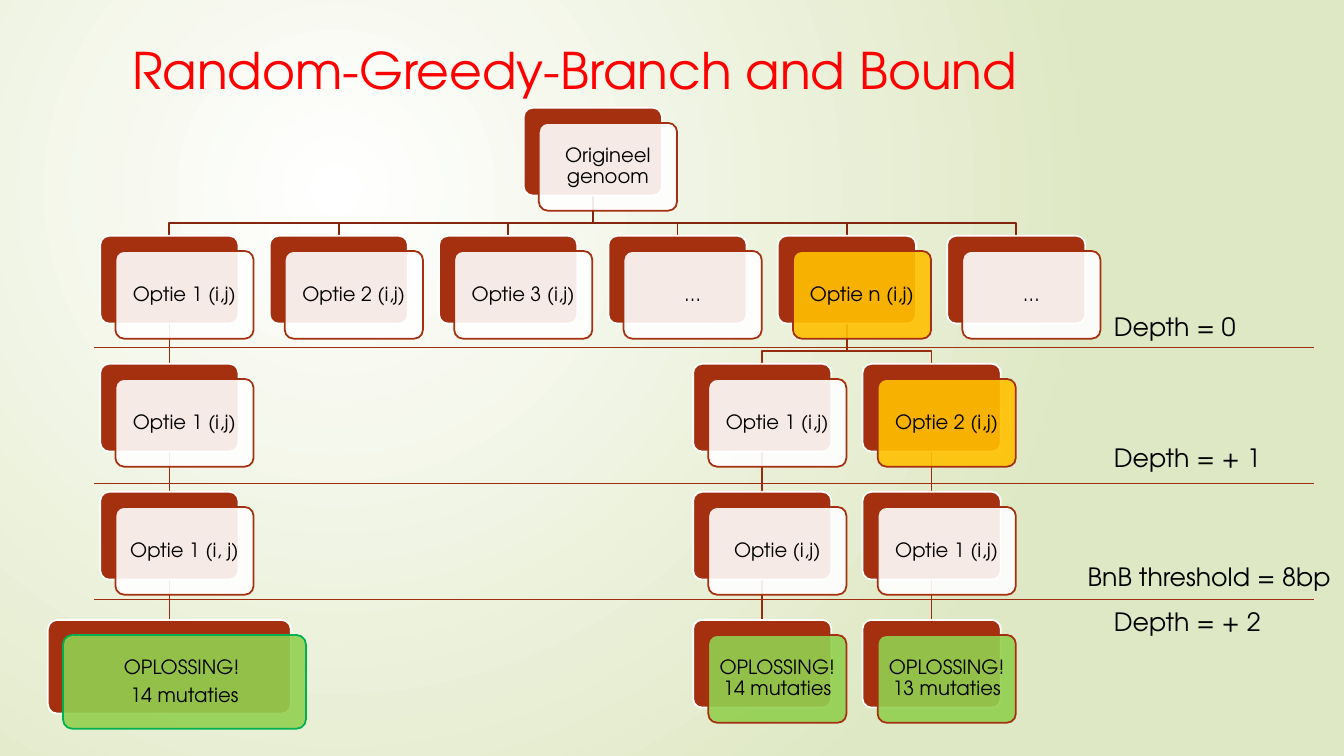
from dataclasses import dataclass

from lxml import etree
from pptx import Presentation
from pptx.dml.color import RGBColor
from pptx.enum.shapes import MSO_CONNECTOR, MSO_SHAPE
from pptx.enum.text import MSO_ANCHOR, PP_ALIGN
from pptx.oxml.ns import qn
from pptx.util import Inches, Pt

LINE = MSO_CONNECTOR.STRAIGHT
ROUND = MSO_SHAPE.ROUNDED_RECTANGLE
TOP, MIDDLE = MSO_ANCHOR.TOP, MSO_ANCHOR.MIDDLE
LEFT, CENTER = PP_ALIGN.LEFT, PP_ALIGN.CENTER

WHITE = RGBColor(0xFF, 0xFF, 0xFF)
BLACK = RGBColor(0x00, 0x00, 0x00)
RED = RGBColor(0xFF, 0x00, 0x00)
RUST = RGBColor(0xA5, 0x30, 0x10)
DARK = RGBColor(0x84, 0x26, 0x0D)
BROWN = RGBColor(0x96, 0x2C, 0x0F)
RULE = RGBColor(0x9E, 0x2E, 0x0F)
GOLD = RGBColor(0xFF, 0xC0, 0x00)
LIME = RGBColor(0x92, 0xD0, 0x50)
GREEN = RGBColor(0x00, 0xB0, 0x50)
SAGE = RGBColor(0xDF, 0xE8, 0xC4)

FONT = "TeX Gyre Adventor"
COL, ROW = 1.68, 1.27
BASE = 1.07
WIDE, HIGH = 1.37, 0.87
SHIFT = 0.15
DROP = 0.27


@dataclass
class Node:
    col: float
    row: int
    text: str
    up: float | None = None
    fill: RGBColor = WHITE
    edge: RGBColor = RUST
    wide: float = WIDE
    high: float = HIGH


@dataclass
class Label:
    text: str
    left: float
    top: float
    wide: float = 2.08


NODES = [
    Node(2.5, 0, "Origineel genoom"),
    Node(0, 1, "Optie 1 (i,j)", 2.5),
    Node(0, 2, "Optie 1 (i,j)", 0),
    Node(0, 3, "Optie 1 (i, j)", 0),
    Node(0, 4, "OPLOSSING! \n14 mutaties", 0, LIME, GREEN, 2.41, 0.93),
    Node(1, 1, "Optie 2 (i,j)", 2.5),
    Node(2, 1, "Optie 3 (i,j)", 2.5),
    Node(3, 1, "…", 2.5),
    Node(4, 1, "Optie n (i,j)", 2.5, GOLD),
    Node(3.5, 2, "Optie 1 (i,j)", 4),
    Node(3.5, 3, "Optie (i,j)", 3.5),
    Node(3.5, 4, "OPLOSSING! 14 mutaties", 3.5, LIME),
    Node(4.5, 2, "Optie 2 (i,j)", 4, GOLD),
    Node(4.5, 3, "Optie 1 (i,j)", 4.5),
    Node(4.5, 4, "OPLOSSING! 13 mutaties", 4.5, LIME),
    Node(5, 1, "…", 2.5),
]

RULES = [5.95, 3.45, 4.8]

LABELS = [
    Label("Depth = 0", 10.95, 3.04),
    Label("Depth = + 1", 10.95, 4.34),
    Label("BnB threshold = 8bp", 10.69, 5.52, 2.64),
    Label("Depth = + 2", 10.95, 5.97),
]


def mid(col: float) -> float:
    return COL * (1 + col)


def head(row: int) -> float:
    return BASE + ROW * row


def style(frame, size: float, color: RGBColor, align) -> None:
    for para in frame.paragraphs:
        para.alignment = align
        for run in para.runs:
            run.font.name = FONT
            run.font.size = Pt(size)
            run.font.color.rgb = color


def draw_back(slide) -> None:
    fill = slide.background.fill
    fill.gradient()
    for stop, color in zip(fill.gradient_stops, (WHITE, SAGE)):
        stop.color.rgb = color
    grad = slide._element.find(".//" + qn("a:gradFill"))
    grad.remove(grad.find(qn("a:lin")))
    ring = etree.SubElement(grad, qn("a:path"), path="circle")
    etree.SubElement(ring, qn("a:fillToRect"),
                     l="50000", t="50000", r="100000", b="100000")


def draw_line(slide, start: tuple, end: tuple, color: RGBColor, width: float) -> None:
    line = slide.shapes.add_connector(LINE, *map(Inches, start + end))
    line.line.color.rgb = color
    line.line.width = Pt(width)
    etree.SubElement(line._element.spPr, qn("a:effectLst"))


def draw_link(slide, node: Node) -> None:
    if node.up is None:
        return
    color = DARK if node.row == 1 else BROWN
    start = (mid(node.up), head(node.row - 1) + HIGH)
    end = (mid(node.col), head(node.row))
    if node.up == node.col:
        draw_line(slide, start, end, color, 1.25)
        return
    bend = start[1] + DROP
    points = [(start[0], bend), (end[0], bend), end]
    path = slide.shapes.build_freeform(Inches(start[0]), Inches(start[1]))
    path.add_line_segments([(Inches(x), Inches(y)) for x, y in points], close=False)
    link = path.convert_to_shape()
    link.shadow.inherit = False
    link.fill.background()
    link.line.color.rgb = color
    link.line.width = Pt(1.25)


def draw_card(slide, node: Node, shift: float, fill: RGBColor, edge: RGBColor):
    left = mid(node.col) - node.wide / 2 + shift
    top = head(node.row) + shift
    card = slide.shapes.add_shape(
        ROUND, *map(Inches, (left, top, node.wide, node.high)))
    card.adjustments[0] = 0.1
    card.shadow.inherit = False
    card.fill.solid()
    card.fill.fore_color.rgb = fill
    card.line.color.rgb = edge
    card.line.width = Pt(1.25)
    return card


def draw_node(slide, node: Node) -> None:
    draw_card(slide, node, 0, RUST, WHITE)
    front = draw_card(slide, node, SHIFT, node.fill, node.edge)
    tint = front._element.spPr.find(qn("a:solidFill"))[0]
    etree.SubElement(tint, qn("a:alpha"), val="90000")
    frame = front.text_frame
    frame.text = node.text
    frame.word_wrap = True
    frame.vertical_anchor = MIDDLE
    frame.margin_left = frame.margin_right = Inches(0.08)
    frame.margin_top = frame.margin_bottom = Inches(0.08)
    style(frame, 14, BLACK, CENTER)
    for para in frame.paragraphs:
        para.line_spacing = 0.9
    for para in frame.paragraphs[:-1]:
        para.space_after = Pt(5)


def draw_label(slide, label: Label) -> None:
    box = slide.shapes.add_textbox(
        *map(Inches, (label.left, label.top, label.wide, 0.4)))
    box.text_frame.word_wrap = True
    box.text_frame.text = label.text
    style(box.text_frame, 18, BLACK, LEFT)


def draw_title(slide) -> None:
    title = slide.shapes.title
    title.left, title.top, title.width, title.height = map(
        Inches, (1.21, 0.34, 9.75, 1.4))
    title.text_frame.text = "Random-Greedy-Branch and Bound"
    title.text_frame.vertical_anchor = TOP
    style(title.text_frame, 36, RED, LEFT)


def main() -> None:
    deck = Presentation()
    deck.slide_width, deck.slide_height = Inches(13.33), Inches(7.5)
    slide = deck.slides.add_slide(deck.slide_layouts[5])
    draw_back(slide)
    draw_title(slide)
    for node in NODES:
        draw_link(slide, node)
    for node in NODES:
        draw_node(slide, node)
    for y in RULES:
        draw_line(slide, (0.93, y), (13.03, y), RULE, 0.75)
    for label in LABELS:
        draw_label(slide, label)
    deck.save("out.pptx")


if __name__ == "__main__":
    main()
